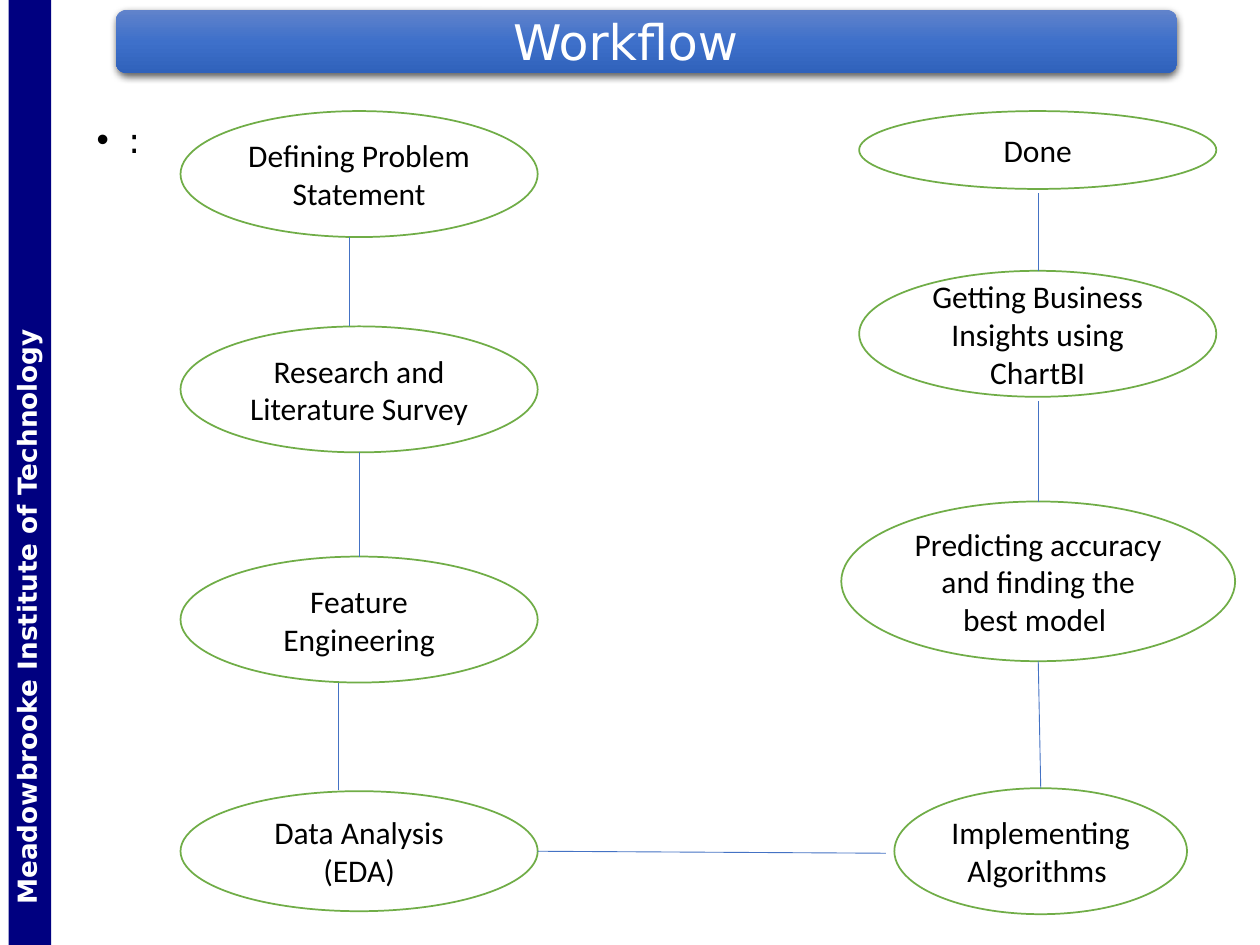
import copy

import pptx
import pptx.dml.color
import pptx.enum.shapes
import pptx.enum.text
import pptx.oxml
import pptx.oxml.ns
import pptx.util

Cm = pptx.util.Cm
Pt = pptx.util.Pt
SHAPE = pptx.enum.shapes.MSO_SHAPE
ALIGN = pptx.enum.text.PP_ALIGN
ANCHOR = pptx.enum.text.MSO_ANCHOR
HEADING_FONT = "DejaVu Sans"

# Steps in working order: text, left, top, width, height (cm)
STEPS = [
    ("Defining Problem Statement", 3.64, 2.24, 7.2, 2.54),
    ("Research and Literature Survey", 3.64, 6.58, 7.2, 2.54),
    ("Feature Engineering", 3.64, 11.22, 7.2, 2.54),
    ("Data Analysis (EDA)", 3.64, 15.95, 7.2, 2.42),
    ("Implementing Algorithms ", 18.03, 15.89, 5.9, 2.54),
    ("Predicting accuracy and finding the best model ", 16.96, 10.11, 7.94, 3.22),
    ("Getting Business Insights using ChartBI", 17.32, 5.46, 7.2, 2.54),
    ("Done", 17.32, 2.24, 7.2, 1.57),
]

# Links between steps: start x, start y, end x, end y (cm)
LINKS = [
    (7.04, 4.78, 7.04, 6.58),
    (7.24, 9.12, 7.24, 11.22),
    (6.83, 13.76, 6.83, 15.93),
    (10.84, 17.16, 17.86, 17.2),
    (20.98, 15.89, 20.93, 13.33),
    (20.93, 10.11, 20.93, 8.08),
    (20.93, 5.46, 20.93, 3.89),
]


def colour(value):
    return pptx.dml.color.RGBColor.from_string(value)


def effect_list(content=""):
    namespace = pptx.oxml.ns.nsdecls("a")
    return pptx.oxml.parse_xml(f"<a:effectLst {namespace}>{content}</a:effectLst>")


def write_text(shape, text, *, size, font, ink="000000", bold=False,
               align=ALIGN.CENTER, anchor=ANCHOR.MIDDLE, spacing=None, before=None):
    frame = shape.text_frame
    frame.word_wrap = True
    frame.vertical_anchor = anchor
    para = frame.paragraphs[0]
    para.alignment = align
    para.line_spacing = spacing
    para.space_before = before
    span = para.add_run()
    span.text = text
    span.font.size = Pt(size)
    span.font.name = font
    span.font.bold = bold
    span.font.color.rgb = colour(ink)
    return para


def add_block(page, kind, box, fill=None, line=None):
    shape = page.shapes.add_shape(kind, *map(Cm, box))
    shape.shadow.inherit = False
    if fill:
        shape.fill.solid()
        shape.fill.fore_color.rgb = colour(fill)
    if line:
        shape.line.color.rgb = colour(line)
        shape.line.width = Pt(1)
    else:
        shape.line.fill.background()
    return shape


def add_title_bar(page):
    bar = add_block(page, SHAPE.ROUNDED_RECTANGLE, (2.34, 0.2, 21.39, 1.27))
    bar.fill.gradient()
    bar.fill.gradient_angle = 270
    properties = bar._element.spPr
    stop_list = properties.find(".//" + pptx.oxml.ns.qn("a:gsLst"))
    stop_list.append(copy.deepcopy(stop_list[0]))
    shades = [(0, "6183CB"), (0.5, "3E70CA"), (1, "3062BB")]
    for stop, (position, shade) in zip(bar.fill.gradient_stops, shades):
        stop.position = position
        stop.color.rgb = colour(shade)
    # Soft shadow below the bar
    properties.remove(properties.find(pptx.oxml.ns.qn("a:effectLst")))
    properties.append(effect_list(
        '<a:outerShdw blurRad="57150" dist="19050" dir="5400000" algn="ctr" '
        'rotWithShape="0"><a:srgbClr val="000000"><a:alpha val="63000"/>'
        '</a:srgbClr></a:outerShdw>'))


def add_side_band(page):
    band = add_block(page, SHAPE.RECTANGLE, (-8.92, 9.09, 19.05, 0.86), "000080")
    band.rotation = 270
    frame = band.text_frame
    frame.margin_left = Cm(0.81)
    frame.margin_top, frame.margin_bottom = Cm(0.03), Cm(0.18)
    write_text(band, "Meadowbrooke Institute of Technology", size=15,
               font=HEADING_FONT, ink="FFFFFF", bold=True, align=ALIGN.LEFT)


def add_text(page, box, text, **text_format):
    return write_text(page.shapes.add_textbox(*map(Cm, box)), text, **text_format)


def add_bullet(para):
    properties = para._p.get_or_add_pPr()
    properties.set("marL", str(Cm(0.64)))
    properties.set("indent", str(-Cm(0.64)))
    namespace = pptx.oxml.ns.nsdecls("a")
    properties.append(pptx.oxml.parse_xml(f'<a:buFont {namespace} typeface="Arial"/>'))
    properties.append(pptx.oxml.parse_xml(f'<a:buChar {namespace} char="•"/>'))


def add_step(page, text, *box):
    step = add_block(page, SHAPE.OVAL, box, "FFFFFF", "70AD47")
    write_text(step, text, size=18, font="Calibri")


def add_link(page, *ends):
    link = page.shapes.add_connector(
        pptx.enum.shapes.MSO_CONNECTOR.STRAIGHT, *map(Cm, ends))
    link.line.color.rgb = colour("4472C4")
    link.line.width = Pt(0.5)
    link._element.spPr.append(effect_list())


def main():
    deck = pptx.Presentation()
    deck.slide_width, deck.slide_height = Cm(25.4), Cm(19.05)
    page = deck.slides.add_slide(deck.slide_layouts[6])

    # Frame of the slide
    add_title_bar(page)
    add_side_band(page)
    add_text(page, (4.57, 0, 16.08, 1.78), "Workflow", size=28,
             font=HEADING_FONT, ink="FFFFFF", spacing=0.9)
    body = add_text(page, (1.7, 1.85, 23.22, 17.2), ":", size=20,
                    font=HEADING_FONT, align=ALIGN.LEFT, anchor=ANCHOR.TOP,
                    spacing=1.5, before=Pt(10))
    add_bullet(body)

    # Flow chart
    for step in STEPS:
        add_step(page, *step)
    for link in LINKS:
        add_link(page, *link)

    deck.save("out.pptx")


if __name__ == "__main__":
    main()
